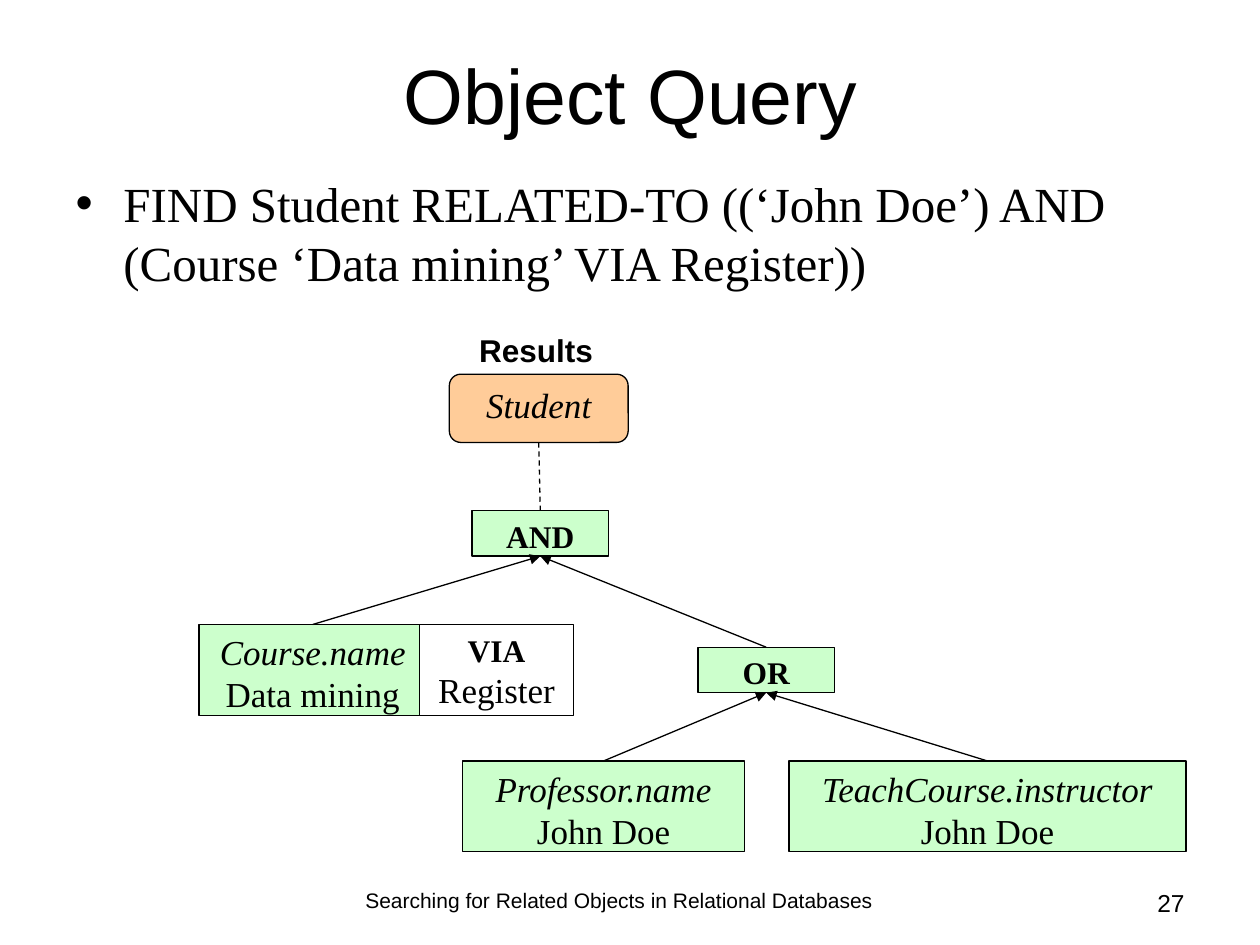
from lxml import etree
from pptx import Presentation
from pptx.dml.color import RGBColor
from pptx.enum.dml import MSO_LINE
from pptx.enum.shapes import MSO_CONNECTOR, MSO_SHAPE
from pptx.enum.text import MSO_ANCHOR, MSO_AUTO_SIZE, PP_ALIGN
from pptx.oxml.ns import qn
from pptx.util import Inches, Pt

RECTANGLE, ROUNDED = MSO_SHAPE.RECTANGLE, MSO_SHAPE.ROUNDED_RECTANGLE
STRAIGHT, DASH = MSO_CONNECTOR.STRAIGHT, MSO_LINE.DASH
TOP, MIDDLE = MSO_ANCHOR.TOP, MSO_ANCHOR.MIDDLE
LEFT, CENTER, RIGHT = PP_ALIGN.LEFT, PP_ALIGN.CENTER, PP_ALIGN.RIGHT
NO_FIT = MSO_AUTO_SIZE.NONE
SIDE_TOP, SIDE_BOTTOM = 0, 2

WIDTH, HEIGHT = 10, 7.5
GRID_LEFT, GRID_TOP, UNIT = 1.58, 2.97, 13 / 72
COLORS = {"ink": "000000", "green": "CCFFCC", "orange": "FFCC99", "white": "FFFFFF"}
SANS, SERIF = "Arial", "Times New Roman"
FORMATS = {
    "title": {"name": SANS, "size": Pt(44)},
    "body": {"name": SERIF, "size": Pt(28)},
    "label": {"name": SANS, "size": Pt(18), "bold": True},
    "footer": {"name": SANS, "size": Pt(12)},
    "number": {"name": SANS, "size": Pt(14)},
    "operator": {"name": SERIF, "size": Pt(18), "bold": True},
    "field": {"name": SERIF, "size": Pt(20), "italic": True},
    "value": {"name": SERIF, "size": Pt(20)},
}


def color(name):
    return RGBColor.from_string(COLORS[name])


def cells(column, row, columns, rows):
    return (GRID_LEFT + column * UNIT, GRID_TOP + row * UNIT, columns * UNIT, rows * UNIT)


def share(left, top, width, height):
    return left * WIDTH, top * HEIGHT, width * WIDTH, height * HEIGHT


class QuerySlide:
    def __init__(self, presentation):
        self.slide = presentation.slides.add_slide(presentation.slide_layouts[1])
        self.shapes = self.slide.shapes

    def fill_text(self, shape, lines, align=CENTER, anchor=TOP):
        frame = shape.text_frame
        settings = {
            "word_wrap": True, "auto_size": NO_FIT, "vertical_anchor": anchor,
            "margin_left": Inches(0.1), "margin_right": Inches(0.1),
            "margin_top": Inches(0.05), "margin_bottom": Inches(0.05),
        }
        for key, value in settings.items():
            setattr(frame, key, value)
        for index, (text, style) in enumerate(lines):
            paragraph = frame.add_paragraph() if index else frame.paragraphs[0]
            paragraph.alignment = align
            run = paragraph.add_run()
            run.text = text
            run.font.color.rgb = color("ink")
            for key, value in FORMATS[style].items():
                setattr(run.font, key, value)

    def place(self, shape, box):
        for key, value in zip(("left", "top", "width", "height"), box):
            setattr(shape, key, Inches(value))

    def title(self, text, box):
        shape = self.shapes.title
        self.place(shape, box)
        self.fill_text(shape, [(text, "title")], anchor=MIDDLE)

    def bullet(self, text, box):
        shape = self.slide.placeholders[1]
        self.place(shape, box)
        self.fill_text(shape, [(text, "body")], LEFT)
        paragraph = shape.text_frame.paragraphs[0]
        paragraph.space_before = Pt(7)
        properties = paragraph._p.get_or_add_pPr()
        properties.set("marL", str(Inches(0.38)))
        properties.set("indent", str(Inches(-0.38)))
        etree.SubElement(properties, qn("a:buFont"), typeface=SANS)
        etree.SubElement(properties, qn("a:buChar"), char="•")

    def text(self, text, style, box, align=CENTER):
        shape = self.shapes.add_textbox(*map(Inches, box))
        self.fill_text(shape, [(text, style)], align)

    def node(self, lines, box, fill="green", kind=RECTANGLE):
        shape = self.shapes.add_shape(kind, *map(Inches, box))
        shape.shadow.inherit = False
        shape.fill.solid()
        shape.fill.fore_color.rgb = color(fill)
        shape.line.color.rgb = color("ink")
        shape.line.width = Pt(0.75)
        self.fill_text(shape, lines)
        return shape

    def link(self, start, start_side, end, end_side, dashed=False):
        connector = self.shapes.add_connector(STRAIGHT, 0, 0, 0, 0)
        connector.begin_connect(start, start_side)
        connector.end_connect(end, end_side)
        connector.line.color.rgb = color("ink")
        connector.line.width = Pt(0.75)
        if dashed:
            connector.line.dash_style = DASH
        else:
            outline = connector.line._get_or_add_ln()
            etree.SubElement(outline, qn("a:tailEnd"), type="triangle")
        etree.SubElement(connector._element.spPr, qn("a:effectLst"))


def main():
    presentation = Presentation()
    presentation.slide_width, presentation.slide_height = Inches(WIDTH), Inches(HEIGHT)
    query = QuerySlide(presentation)

    query.title("Object Query", share(0.017, 0.033, 0.967, 0.133))
    query.bullet(
        "FIND Student RELATED-TO ((‘John Doe’) AND (Course ‘Data mining’ VIA Register))",
        share(0.05, 0.177, 0.9, 0.744),
    )

    student = query.node([("Student", "field")], cells(11, 0, 7.86, 3), "orange", ROUNDED)
    query.text("Results", "label", share(0.317, 0.344, 0.217, 0.061))
    both = query.node([("AND", "operator")], cells(12, 6, 6, 2))
    course = query.node([("Course.name", "field"), ("Data mining", "value")], cells(0, 11, 10, 4))
    professor = query.node(
        [("Professor.name", "field"), ("John Doe", "value")], cells(11.58, 17, 12.4, 4)
    )
    query.node([("VIA", "operator"), ("Register", "value")], cells(9.7, 11, 6.76, 4), "white")
    teacher = query.node(
        [("TeachCourse.instructor", "field"), ("John Doe", "value")], cells(25.93, 17, 17.45, 4)
    )
    either = query.node([("OR", "operator")], cells(21.93, 12, 6, 2))

    query.link(student, SIDE_BOTTOM, both, SIDE_TOP, dashed=True)
    for child, parent in ((course, both), (either, both), (professor, either), (teacher, either)):
        query.link(child, SIDE_TOP, parent, SIDE_BOTTOM)

    query.text(
        "Searching for Related Objects in Relational Databases",
        "footer", share(0.25, 0.933, 0.483, 0.047),
    )
    query.text("27", "number", share(0.742, 0.933, 0.208, 0.047), RIGHT)
    presentation.save("out.pptx")


if __name__ == "__main__":
    main()
